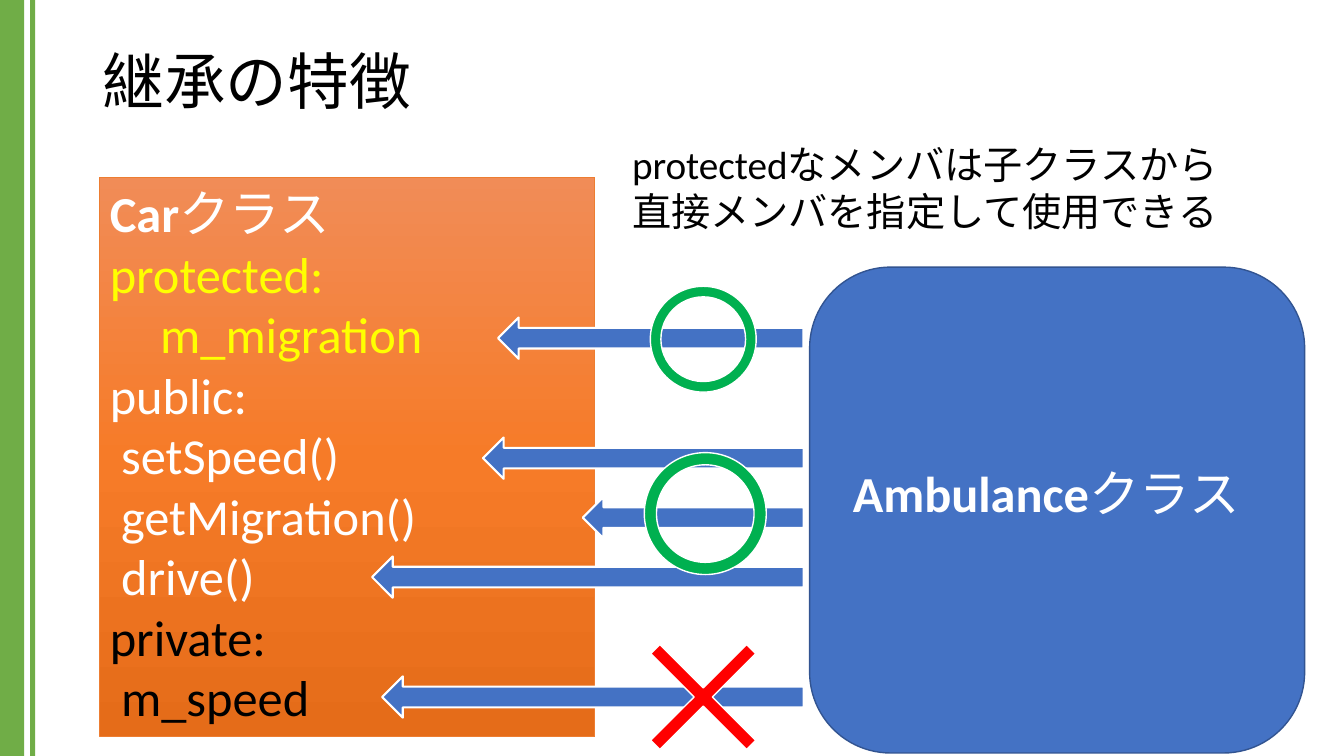
from copy import deepcopy
from typing import NamedTuple

from pptx import Presentation
from pptx.dml.color import RGBColor
from pptx.enum.shapes import MSO_SHAPE
from pptx.enum.text import MSO_ANCHOR
from pptx.util import Emu, Pt

PX = 9144  # 100 px to the inch
FONT = "Calibri"
HUES = {
    "white": "FFFFFF", "black": "000000", "yellow": "FFFF00",
    "leaf": "70AD47", "blue": "4472C4", "navy": "325491",
    "green": "00B050", "red": "FF0000", "orange": "ED7D31",
    "top": "F18C57", "middle": "F67B28", "bottom": "E56C19",
}


class Box(NamedTuple):
    left: int
    top: int
    width: int
    height: int


class Line(NamedTuple):
    text: str
    hue: str
    strong: str = ""  # bold words before the text


class Mark(NamedTuple):
    kind: MSO_SHAPE
    box: Box
    hue: str
    ratio: float


def rgb(hue: str) -> RGBColor:
    return RGBColor.from_string(HUES[hue])


def place(box: Box) -> list[Emu]:
    return [Emu(side * PX) for side in box]


def draw(kind: MSO_SHAPE, box: Box, hue: str, edge: str = "", width: float = 1):
    shape = slide.shapes.add_shape(kind, *place(box))
    shape.shadow.inherit = False
    shape.fill.solid()
    shape.fill.fore_color.rgb = rgb(hue)
    if edge:
        shape.line.color.rgb = rgb(edge)
        shape.line.width = Pt(width)
    else:
        shape.line.fill.background()
    return shape


def write(box: Box, lines: list[Line], size: int):
    shape = slide.shapes.add_textbox(*place(box))
    frame = shape.text_frame
    frame.word_wrap = True
    for index, line in enumerate(lines):
        para = frame.add_paragraph() if index else frame.paragraphs[0]
        if line.strong:
            run = para.add_run()
            run.text = line.strong
            run.font.bold = True
            para.add_run().text = line.text
        else:
            para.text = line.text
        para.font.name = FONT
        para.font.size = Pt(size)
        para.font.color.rgb = rgb(line.hue)
    return shape


def shade(shape, hues: list[str]) -> None:
    """Fill from top to bottom with three evenly spaced colours."""
    shape.fill.gradient()
    shape.fill.gradient_angle = 270
    first = shape.element.spPr.find(".//{*}gs")
    first.addnext(deepcopy(first))
    for index, (stop, hue) in enumerate(zip(shape.fill.gradient_stops, hues)):
        stop.position = index / 2
        stop.color.rgb = rgb(hue)


deck = Presentation()
deck.slide_width, deck.slide_height = Emu(1333 * PX), Emu(750 * PX)
slide = deck.slides.add_slide(deck.slide_layouts[6])

# Side bars
for left, width in ((0, 24), (30, 5)):
    draw(MSO_SHAPE.RECTANGLE, Box(left, 0, width, 750), "leaf")

# Title
title = write(Box(92, 40, 1150, 87), [Line("継承の特徴", "black")], 44)
title.text_frame.vertical_anchor = MSO_ANCHOR.MIDDLE
title.text_frame.paragraphs[0].line_spacing = 0.9

# Parent class
car = write(Box(99, 176, 491, 555), [
    Line("クラス", "white", "Car"),
    Line("protected:", "yellow"),
    Line("　m_migration", "yellow"),
    Line("public:", "white"),
    Line(" setSpeed()", "white"),
    Line(" getMigration()\v drive()", "white"),
    Line("private:", "black"),
    Line(" m_speed", "black"),
], 36)
shade(car, ["top", "middle", "bottom"])
car.line.color.rgb = rgb("orange")
car.line.width = Pt(0.5)

# Child class
draw(MSO_SHAPE.ROUNDED_RECTANGLE, Box(803, 265, 491, 482), "blue", "navy")
write(Box(836, 454, 452, 90), [Line("クラス", "white", "Ambulance")], 36)

# Arrows from the child to each member
TAIL = 797
for left, top in ((494, 315), (479, 434), (578, 493), (369, 552), (379, 671)):
    draw(MSO_SHAPE.LEFT_ARROW, Box(left, top, TAIL - left, 41),
         "blue", "white", 1.5)

# Allowed and forbidden marks
for mark in (
    Mark(MSO_SHAPE.DONUT, Box(639, 449, 121, 121), "green", 0.1),
    Mark(MSO_SHAPE.DONUT, Box(645, 284, 105, 105), "green", 0.1),
    Mark(MSO_SHAPE.MATH_MULTIPLY, Box(606, 600, 183, 183), "red", 0.07),
):
    shape = draw(mark.kind, mark.box, mark.hue, "white")
    shape.adjustments[0] = mark.ratio

# Remark
write(Box(617, 134, 649, 104), [
    Line("protectedなメンバは子クラスから", "black"),
    Line("直接メンバを指定して使用できる", "black"),
], 28)

deck.save("out.pptx")
